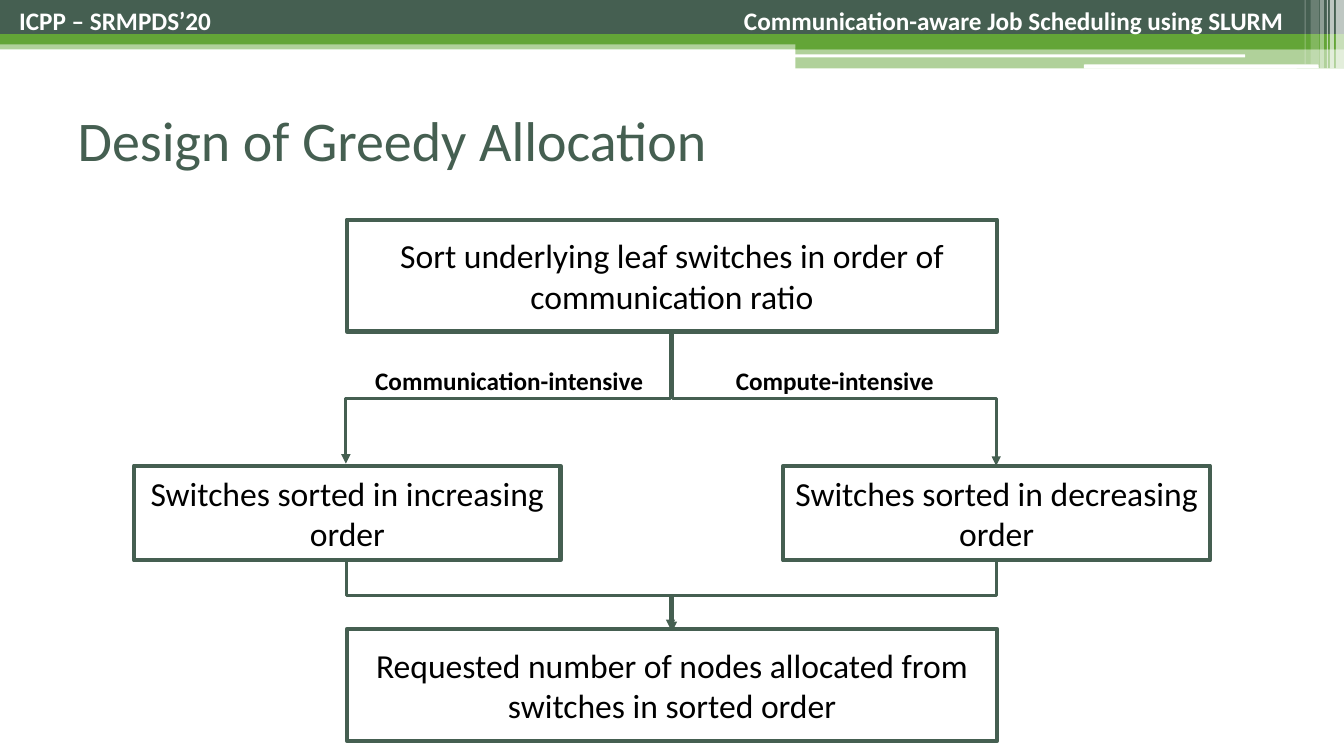
from dataclasses import dataclass

from lxml import etree
from pptx import Presentation
from pptx.dml.color import RGBColor
from pptx.enum import shapes, text
from pptx.oxml import ns
from pptx.util import Inches, Pt


@dataclass(frozen=True)
class Theme:
    font: str = "Calibri"
    dark: str = "455F51"
    green: str = "63A537"
    white: str = "FFFFFF"
    black: str = "000000"
    title_size: int = 40
    step_size: int = 24
    label_size: int = 18
    step_line: float = 3
    arrow_line: float = 2.25


THEME = Theme()


@dataclass(frozen=True)
class Area:
    left: float
    top: float
    width: float
    height: float


@dataclass(frozen=True)
class Bar:
    area: Area
    color: str
    opacity: int = 100
    rounded: bool = False


@dataclass(frozen=True)
class Caption:
    area: Area
    words: str


@dataclass(frozen=True)
class Arrow:
    start: tuple[float, float]
    end: tuple[float, float]


BARS = [
    Bar(Area(0, 0.4, 13.33, 0.09), THEME.green, 50),
    Bar(Area(0, 0, 13.33, 0.34), THEME.dark),
    Bar(Area(0, 0.34, 13.33, 0.1), THEME.green),
    Bar(Area(7.89, 0.39, 5.44, 0.1), THEME.green),
    Bar(Area(7.89, 0.48, 5.44, 0.2), THEME.green, 50),
    Bar(Area(7.88, 0.54, 4.47, 0.03), THEME.white, rounded=True),
    Bar(Area(10.75, 0.64, 2.33, 0.04), THEME.white, rounded=True),
    Bar(Area(13.25, 0, 0.08, 0.68), THEME.white, 65),
    Bar(Area(13.19, 0, 0.04, 0.68), THEME.white, 65),
    Bar(Area(13.16, 0, 0.01, 0.68), THEME.white, 60),
    Bar(Area(13.09, 0, 0.04, 0.68), THEME.white, 40),
    Bar(Area(13, 0, 0.08, 0.64), THEME.white, 20),
    Bar(Area(12.94, 0, 0.01, 0.64), THEME.white, 30),
]
STEPS = [
    Caption(Area(3.44, 2.18, 6.45, 1.11),
            "Sort underlying leaf switches in order of communication ratio"),
    Caption(Area(1.33, 4.62, 4.23, 0.94), "Switches sorted in increasing order"),
    Caption(Area(7.77, 4.62, 4.23, 0.94), "Switches sorted in decreasing order"),
    Caption(Area(3.44, 6.24, 6.45, 1.11),
            "Requested number of nodes allocated from switches in sorted order"),
]
BRANCH_LABELS = [
    Caption(Area(3.44, 3.58, 3.22, 0.4), "Communication-intensive"),
    Caption(Area(6.67, 3.58, 3.22, 0.4), "Compute-intensive"),
]
ARROWS = [
    Arrow((6.65, 3.3), (3.43, 4.6)),
    Arrow((6.67, 3.29), (9.88, 4.62)),
    Arrow((3.44, 5.55), (6.67, 6.26)),
    Arrow((9.88, 5.57), (6.65, 6.24)),
]
HEADER = Caption(Area(0, 0, 12.94, 0.4),
                 "ICPP – SRMPDS’20\tCommunication-aware Job Scheduling using SLURM")
HEADER_INSET = 0.19
HEADER_TAB = 12.54


def rgb(color: str) -> RGBColor:
    return RGBColor.from_string(color)


def lengths(area: Area) -> tuple:
    return tuple(Inches(n) for n in (area.left, area.top, area.width, area.height))


def format_text(shape, size: float, color: str, bold: bool = False,
                align=text.PP_ALIGN.CENTER) -> None:
    for para in shape.text_frame.paragraphs:
        para.alignment = align
        for span in para.runs:
            span.font.name = THEME.font
            span.font.size = Pt(size)
            span.font.bold = bold
            span.font.color.rgb = rgb(color)


def add_box(page, area: Area, color: str, rounded: bool = False):
    kind = shapes.MSO_SHAPE.ROUNDED_RECTANGLE if rounded else shapes.MSO_SHAPE.RECTANGLE
    box = page.shapes.add_shape(kind, *lengths(area))
    box.shadow.inherit = False
    box.fill.solid()
    box.fill.fore_color.rgb = rgb(color)
    box.line.fill.background()
    return box


def add_bar(page, bar: Bar) -> None:
    box = add_box(page, bar.area, bar.color, bar.rounded)
    if bar.opacity < 100:
        color = box.fill._xPr.find(".//" + ns.qn("a:srgbClr"))
        etree.SubElement(color, ns.qn("a:alpha"), val=str(bar.opacity * 1000))


def add_step(page, step: Caption) -> None:
    box = add_box(page, step.area, THEME.white)
    box.line.color.rgb = rgb(THEME.dark)
    box.line.width = Pt(THEME.step_line)
    box.text_frame.word_wrap = True
    box.text_frame.vertical_anchor = text.MSO_ANCHOR.MIDDLE
    box.text_frame.text = step.words
    format_text(box, THEME.step_size, THEME.black)


def add_label(page, label: Caption, color: str, align=text.PP_ALIGN.CENTER):
    box = page.shapes.add_textbox(*lengths(label.area))
    box.text_frame.word_wrap = True
    box.text_frame.text = label.words
    format_text(box, THEME.label_size, color, bold=True, align=align)
    return box


def add_header(page) -> None:
    """Set the event at the left and the talk at a right tab."""
    box = add_label(page, HEADER, THEME.white, text.PP_ALIGN.LEFT)
    box.text_frame.margin_left = Inches(HEADER_INSET)
    properties = box.text_frame.paragraphs[0]._p.get_or_add_pPr()
    tabs = etree.SubElement(properties, ns.qn("a:tabLst"))
    etree.SubElement(tabs, ns.qn("a:tab"), pos=str(Inches(HEADER_TAB)), algn="r")


def add_arrow(page, arrow: Arrow) -> None:
    """Turn an elbow by a quarter so that it leaves and arrives vertically."""
    (x1, y1), (x2, y2) = arrow.start, arrow.end
    middle_x, middle_y = (x1 + x2) / 2, (y1 + y2) / 2
    half_width, half_height = (y2 - y1) / 2, abs(x2 - x1) / 2
    rightward = x2 > x1
    reach = -half_width if rightward else half_width
    line = page.shapes.add_connector(
        shapes.MSO_CONNECTOR.ELBOW,
        Inches(middle_x - reach), Inches(middle_y - half_height),
        Inches(middle_x + reach), Inches(middle_y + half_height))
    line.line.color.rgb = rgb(THEME.dark)
    line.line.width = Pt(THEME.arrow_line)
    properties = line._element.spPr
    degrees = 270 if rightward else 90
    properties.find(ns.qn("a:xfrm")).set("rot", str(degrees * 60000))
    etree.SubElement(properties.find(ns.qn("a:ln")), ns.qn("a:tailEnd"), type="triangle")
    etree.SubElement(properties, ns.qn("a:effectLst"))


def add_title(page) -> None:
    title = page.shapes.title
    title.left, title.top, title.width, title.height = lengths(Area(0.67, 0.8, 12, 1.17))
    title.text_frame.text = "Design of Greedy Allocation"
    title.text_frame.vertical_anchor = text.MSO_ANCHOR.MIDDLE
    format_text(title, THEME.title_size, THEME.dark, align=text.PP_ALIGN.LEFT)


def main() -> None:
    deck = Presentation()
    deck.slide_width, deck.slide_height = Inches(13.33), Inches(7.5)
    page = deck.slides.add_slide(deck.slide_layouts.get_by_name("Title Only"))
    for bar in BARS:
        add_bar(page, bar)
    add_title(page)
    for step in STEPS:
        add_step(page, step)
    for label in BRANCH_LABELS:
        add_label(page, label, THEME.black)
    for arrow in ARROWS:
        add_arrow(page, arrow)
    add_header(page)
    deck.save("out.pptx")


if __name__ == "__main__":
    main()
